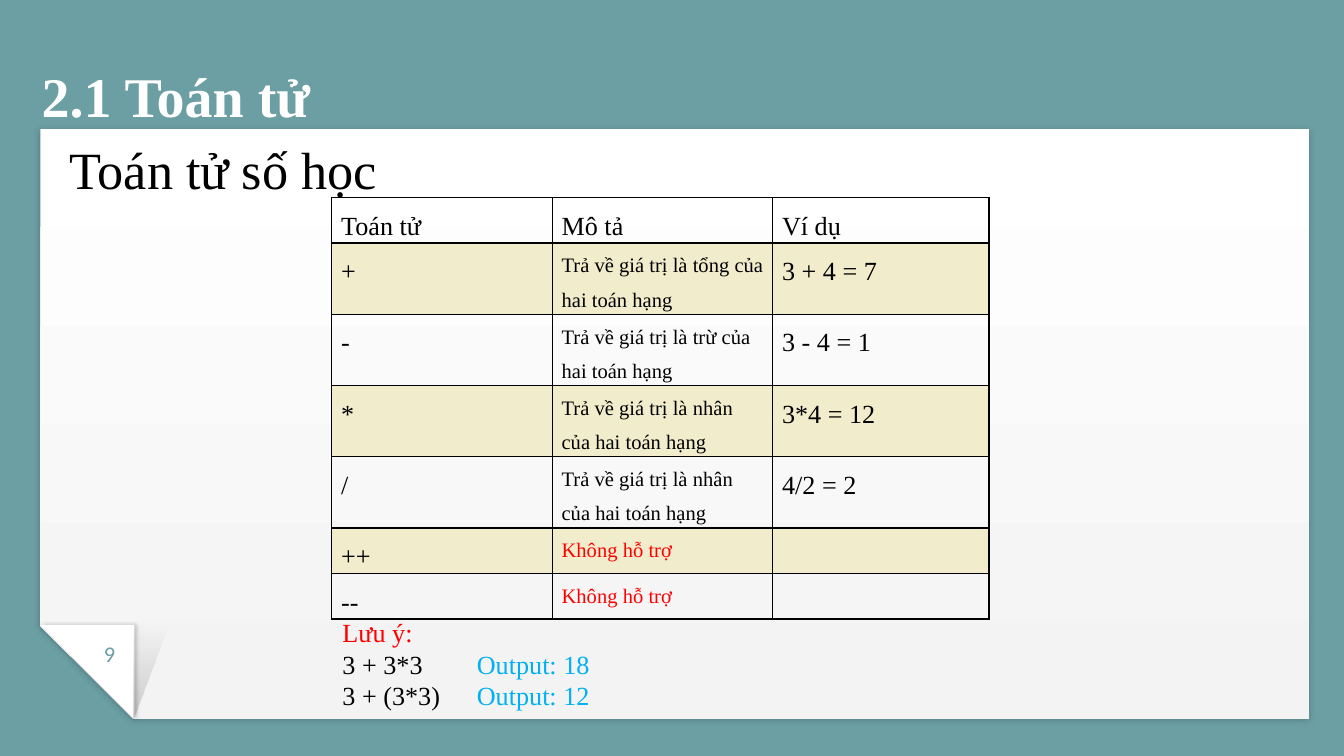
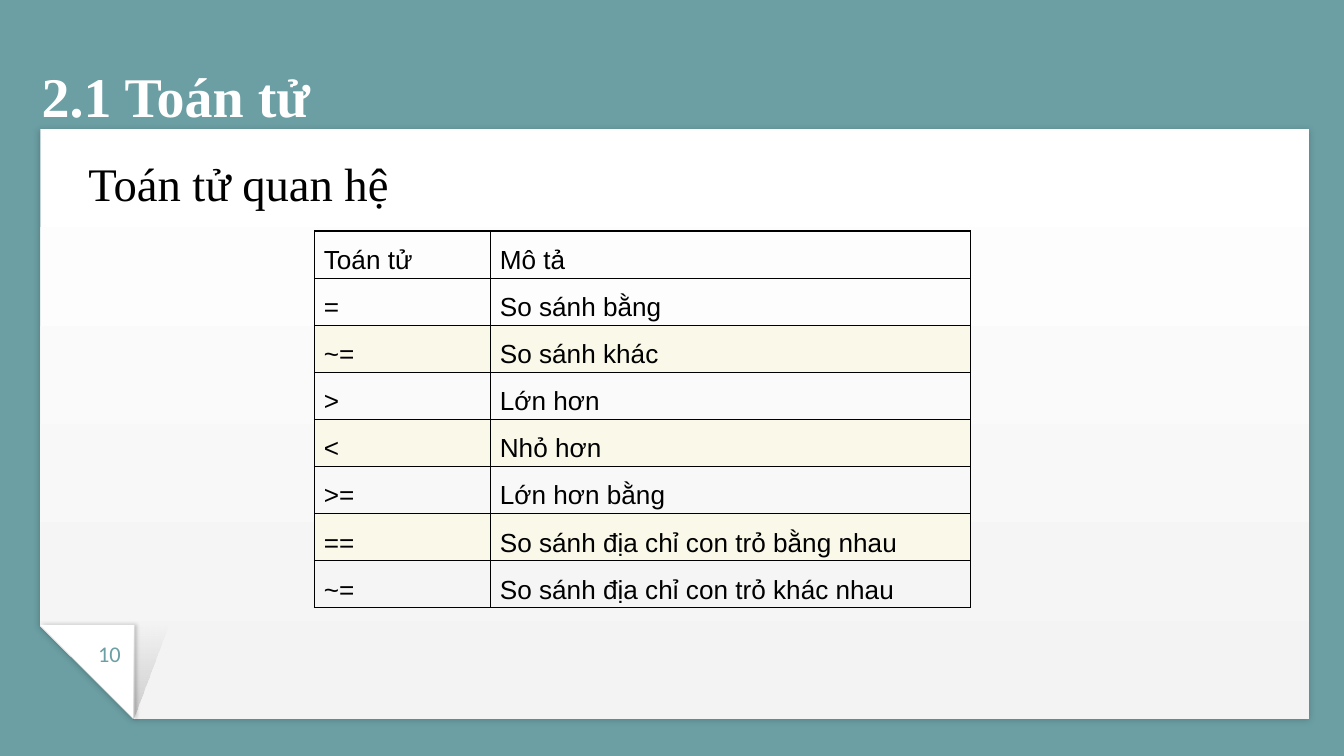
import dataclasses

import lxml.etree
import pptx
import pptx.dml.color
import pptx.enum.shapes
import pptx.enum.text
import pptx.oxml.ns
import pptx.util

Pt = pptx.util.Pt
qn = pptx.oxml.ns.qn
Shapes = pptx.enum.shapes.MSO_SHAPE
Align = pptx.enum.text.PP_ALIGN
AutoSize = pptx.enum.text.MSO_AUTO_SIZE


@dataclasses.dataclass(frozen=True)
class Theme:
    teal: str = "6B9FA4"
    white: str = "FFFFFF"
    paper_end: str = "F3F3F3"
    black: str = "000000"
    red: str = "FF0000"
    blue: str = "00B0F0"
    strong_band: str = "F1EDCC"
    soft_band: str = "FAF8E8"
    serif: str = "Times New Roman"
    sans: str = "Arial"
    number_font: str = "Calibri"
    title_size: float = 30
    heading_size: float = 28
    small_heading_size: float = 25
    body_size: float = 14
    number_size: float = 12
    detail_size: float = 11


THEME = Theme()
UNSUPPORTED = "Không hỗ trợ"

ARITHMETIC_ROWS = [
    ("Toán tử", "Mô tả", "Ví dụ"),
    ("+ ", "Trả về giá trị là tổng của hai toán hạng", "3 + 4 = 7"),
    ("-", "Trả về giá trị là trừ của hai toán hạng", "3 - 4 = 1"),
    ("*", "Trả về giá trị là nhân của hai toán hạng", "3*4 = 12"),
    ("/", "Trả về giá trị là nhân của hai toán hạng", "4/2 = 2"),
    ("++ ", UNSUPPORTED, ""),
    ("-- ", UNSUPPORTED, ""),
]

RELATION_ROWS = [
    ("Toán tử", "Mô tả"),
    ("=", "So sánh bằng"),
    ("~=", "So sánh khác"),
    (">\u00a0", "Lớn hơn"),
    ("<\u00a0", "Nhỏ hơn"),
    (">= ", "Lớn hơn bằng"),
    ("==", "So sánh địa chỉ con trỏ bằng nhau"),
    ("~=", "So sánh địa chỉ con trỏ khác nhau"),
]


def rgb(color):
    return pptx.dml.color.RGBColor.from_string(color)


def points(values):
    return [Pt(value) for value in values]


def add_text(paragraph, text, size=THEME.body_size, font=THEME.serif,
             color=THEME.black, bold=False, align=Align.LEFT, spacing=None):
    paragraph.alignment = align
    if spacing:
        paragraph.line_spacing = spacing
    run = paragraph.add_run()
    run.text = text
    run.font.size = Pt(size)
    run.font.name = font
    run.font.bold = bold
    run.font.color.rgb = rgb(color)


def add_text_box(slide, box, auto_size=AutoSize.SHAPE_TO_FIT_TEXT):
    frame = slide.shapes.add_textbox(*points(box)).text_frame
    frame.word_wrap = True
    frame.auto_size = auto_size
    return frame


def add_heading(slide, text, box, size):
    add_text(add_text_box(slide, box).paragraphs[0], text, size=size)


def add_paper_shape(slide, kind, box):
    shape = slide.shapes.add_shape(kind, *points(box))
    shape.rotation = 180
    shape.line.fill.background()
    shape.shadow.inherit = False
    return shape


def set_gradient(shape, colors, angle):
    shape.fill.gradient()
    shape.fill.gradient_angle = angle
    for stop, color, position in zip(shape.fill.gradient_stops, colors, (0, 1)):
        stop.color.rgb = rgb(color)
        stop.position = position


def set_alpha(color_element, percent):
    alpha = lxml.etree.SubElement(color_element, qn("a:alpha"))
    alpha.set("val", str(percent * 1000))


def set_shadow(shape, blur, distance, direction):
    effects = shape.element.spPr.find(qn("a:effectLst"))
    shadow = lxml.etree.SubElement(effects, qn("a:outerShdw"))
    shadow.set("blurRad", str(Pt(blur)))
    shadow.set("dist", str(Pt(distance)))
    shadow.set("dir", str(direction * 60000))
    shadow.set("rotWithShape", "0")
    color = lxml.etree.SubElement(shadow, qn("a:srgbClr"))
    color.set("val", THEME.black)
    set_alpha(color, 20)


def add_paper(slide):
    sheet = add_paper_shape(slide, Shapes.SNIP_1_RECTANGLE, (21.6, 69.1, 679.7, 316.1))
    sheet.adjustments[0] = 0.158
    set_gradient(sheet, (THEME.white, THEME.paper_end), 90)
    set_shadow(sheet, 3.4, 0.8, 90)

    fold = add_paper_shape(slide, Shapes.RIGHT_TRIANGLE, (21.6, 334.8, 50.4, 50.4))
    fold.fill.solid()
    fold.fill.fore_color.rgb = rgb(THEME.white)
    set_shadow(fold, 2.2, 0.8, 0)

    crease = add_paper_shape(slide, Shapes.RIGHT_TRIANGLE, (71.5, 334.8, 18.7, 50.4))
    crease.element.spPr.find(qn("a:xfrm")).set("flipH", "1")
    set_gradient(crease, (THEME.black, THEME.black), 270)
    stop_colors = crease.element.spPr.find(qn("a:gradFill")).iter(qn("a:srgbClr"))
    for color, percent in zip(list(stop_colors), (17, 0)):
        set_alpha(color, percent)


def set_title(slide, text):
    title = slide.shapes.title
    slide.shapes.element.append(title.element)
    title.left, title.top, title.width, title.height = points((22.3, 28.1, 661.7, 41))
    frame = title.text_frame
    frame.margin_left = frame.margin_right = frame.margin_top = frame.margin_bottom = 0
    frame.vertical_anchor = pptx.enum.text.MSO_ANCHOR.BOTTOM
    frame.auto_size = AutoSize.NONE
    add_text(frame.paragraphs[0], text, size=THEME.title_size, color=THEME.white, bold=True)


def add_page_number(slide, number):
    frame = add_text_box(slide, (40.3, 335.5, 36.7, 24.5), AutoSize.NONE)
    frame.margin_left = frame.margin_right = Pt(7.2)
    frame.margin_top = frame.margin_bottom = Pt(7.2)
    add_text(frame.paragraphs[0], str(number), size=THEME.number_size,
             font=THEME.number_font, color=THEME.teal, align=Align.CENTER)


def add_slide(presentation, title, number):
    slide = presentation.slides.add_slide(presentation.slide_layouts[5])
    slide.background.fill.solid()
    slide.background.fill.fore_color.rgb = rgb(THEME.teal)
    add_paper(slide)
    set_title(slide, title)
    add_page_number(slide, number)
    return slide


def set_borders(cell):
    properties = cell._tc.get_or_add_tcPr()
    for side in ("a:lnL", "a:lnR", "a:lnT", "a:lnB"):
        line = lxml.etree.SubElement(properties, qn(side))
        line.set("w", str(Pt(0.75)))
        fill = lxml.etree.SubElement(line, qn("a:solidFill"))
        lxml.etree.SubElement(fill, qn("a:srgbClr")).set("val", THEME.black)


def format_cell(cell, text, band, **text_format):
    cell.margin_left = cell.margin_right = Pt(5)
    cell.margin_top = cell.margin_bottom = 0
    set_borders(cell)
    if band:
        cell.fill.solid()
        cell.fill.fore_color.rgb = rgb(band)
    else:
        cell.fill.background()
    if text:
        add_text(cell.text_frame.paragraphs[0], text, spacing=1.5, **text_format)


def add_table(slide, rows, origin, widths, heights, bands, cell_format):
    box = (*origin, sum(widths), sum(heights))
    table = slide.shapes.add_table(len(rows), len(widths), *points(box)).table
    table.first_row = table.horz_banding = False
    for column, width in zip(table.columns, widths):
        column.width = Pt(width)
    for row_index, (row, height) in enumerate(zip(rows, heights)):
        table.rows[row_index].height = Pt(height)
        for column_index, text in enumerate(row):
            format_cell(table.cell(row_index, column_index), text, bands.get(row_index),
                        **cell_format(row_index, column_index, text))


def arithmetic_format(row_index, column_index, text):
    detail = row_index > 0 and column_index == 1
    return {
        "size": THEME.detail_size if detail else THEME.body_size,
        "color": THEME.red if text == UNSUPPORTED else THEME.black,
    }


def relation_format(row_index, column_index, text):
    return {"font": THEME.sans}


def add_note(slide):
    frame = add_text_box(slide, (176.4, 326.9, 421.9, 58.3))
    add_text(frame.paragraphs[0], "Lưu ý:", color=THEME.red)
    for expression, output in (("3 + 3*3", "Output: 18"), ("3 + (3*3)", "Output: 12")):
        paragraph = frame.add_paragraph()
        add_text(paragraph, expression + "\t")
        add_text(paragraph, output, color=THEME.blue)


def add_arithmetic_slide(presentation):
    slide = add_slide(presentation, "2.1 Toán tử", 9)
    add_table(slide, ARITHMETIC_ROWS, (177.8, 105.8), (118.1, 118.1, 115.9),
              [24.4] + [38.2] * 4 + [24.4] * 2,
              dict.fromkeys((1, 3, 5), THEME.strong_band), arithmetic_format)
    add_heading(slide, "Toán tử số học ", (30.2, 69.8, 202.3, 41), THEME.heading_size)
    add_note(slide)


def add_relation_slide(presentation):
    slide = add_slide(presentation, "2.1 Toán tử", 10)
    add_heading(slide, "Toán tử quan hệ", (40.3, 79.2, 218.9, 37.4),
                THEME.small_heading_size)
    add_table(slide, RELATION_ROWS, (168.5, 123.8), (94.3, 257),
              [25.2] * len(RELATION_ROWS),
              dict.fromkeys((2, 4, 6), THEME.soft_band), relation_format)


def main():
    presentation = pptx.Presentation()
    presentation.slide_width = Pt(720)
    presentation.slide_height = Pt(405)
    add_arithmetic_slide(presentation)
    add_relation_slide(presentation)
    presentation.save("out.pptx")


main()
